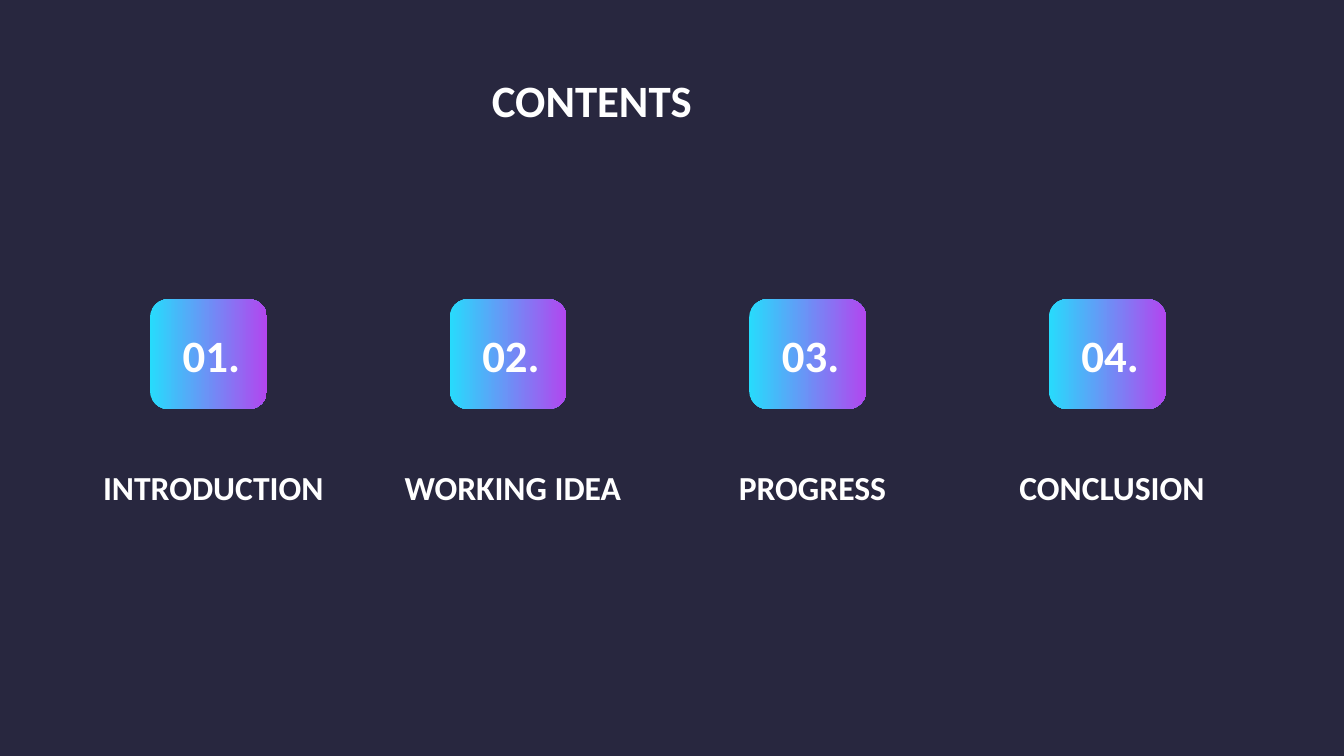
from pptx import Presentation
from pptx.dml.color import RGBColor
from pptx.enum import shapes, text
from pptx.util import Cm, Pt

TITLE = "CONTENTS"
SECTIONS = [
    ("01.", "INTRODUCTION"),
    ("02.", "WORKING IDEA"),
    ("03.", "PROGRESS"),
    ("04.", "CONCLUSION"),
]

NAVY = RGBColor(0x28, 0x27, 0x3F)
WHITE = RGBColor(0xFF, 0xFF, 0xFF)
CYAN = RGBColor(0x27, 0xDB, 0xFC)
VIOLET = RGBColor(0xB2, 0x46, 0xEF)

TILE_LEFT, TILE_TOP, TILE_WIDTH, TILE_HEIGHT = 3.78, 7.54, 2.95, 2.77
PITCH = 7.55
NUMBER_INSET = 0.69
LABEL_SHIFT, LABEL_TOP, LABEL_WIDTH, LABEL_HEIGHT = -1.68, 11.63, 6.55, 1.27

FRAME = {
    "word_wrap": True,
    "auto_size": text.MSO_AUTO_SIZE.NONE,
    "vertical_anchor": text.MSO_ANCHOR.MIDDLE,
}
FONT = {"name": "Calibri", "bold": True}


def set_all(target, values):
    for key, value in values.items():
        setattr(target, key, value)


def write(holder, words, size, align):
    frame = holder.text_frame
    set_all(frame, FRAME)
    paragraph = frame.paragraphs[0]
    paragraph.alignment = align
    run = paragraph.add_run()
    run.text = words
    set_all(run.font, {**FONT, "size": Pt(size)})
    run.font.color.rgb = WHITE


def add_section(slide, left, number, name):
    tile = slide.shapes.add_shape(
        shapes.MSO_SHAPE.ROUNDED_RECTANGLE,
        Cm(left), Cm(TILE_TOP), Cm(TILE_WIDTH), Cm(TILE_HEIGHT))
    tile.shadow.inherit = False
    tile.line.fill.background()
    tile.fill.gradient()
    tile.fill.gradient_angle = 0
    for stop, position, color in zip(tile.fill.gradient_stops, (0, 1), (CYAN, VIOLET)):
        stop.position = position
        stop.color.rgb = color
    write(tile, number, 32, text.PP_ALIGN.LEFT)
    set_all(tile.text_frame, {"margin_left": Cm(NUMBER_INSET), "margin_right": 0})

    label = slide.shapes.add_textbox(
        Cm(left + LABEL_SHIFT), Cm(LABEL_TOP), Cm(LABEL_WIDTH), Cm(LABEL_HEIGHT))
    write(label, name, 24, text.PP_ALIGN.CENTER)


def main():
    deck = Presentation()
    set_all(deck, {"slide_width": Cm(33.87), "slide_height": Cm(19.05)})
    slide = deck.slides.add_slide(deck.slide_layouts[5])
    slide.background.fill.solid()
    slide.background.fill.fore_color.rgb = NAVY

    title = slide.shapes.title
    set_all(title, {"left": Cm(12.14), "top": Cm(1.7), "width": Cm(9.55), "height": Cm(1.63)})
    write(title, TITLE, 32, text.PP_ALIGN.JUSTIFY)

    for index, (number, name) in enumerate(SECTIONS):
        add_section(slide, TILE_LEFT + index * PITCH, number, name)

    deck.save("out.pptx")


if __name__ == "__main__":
    main()
